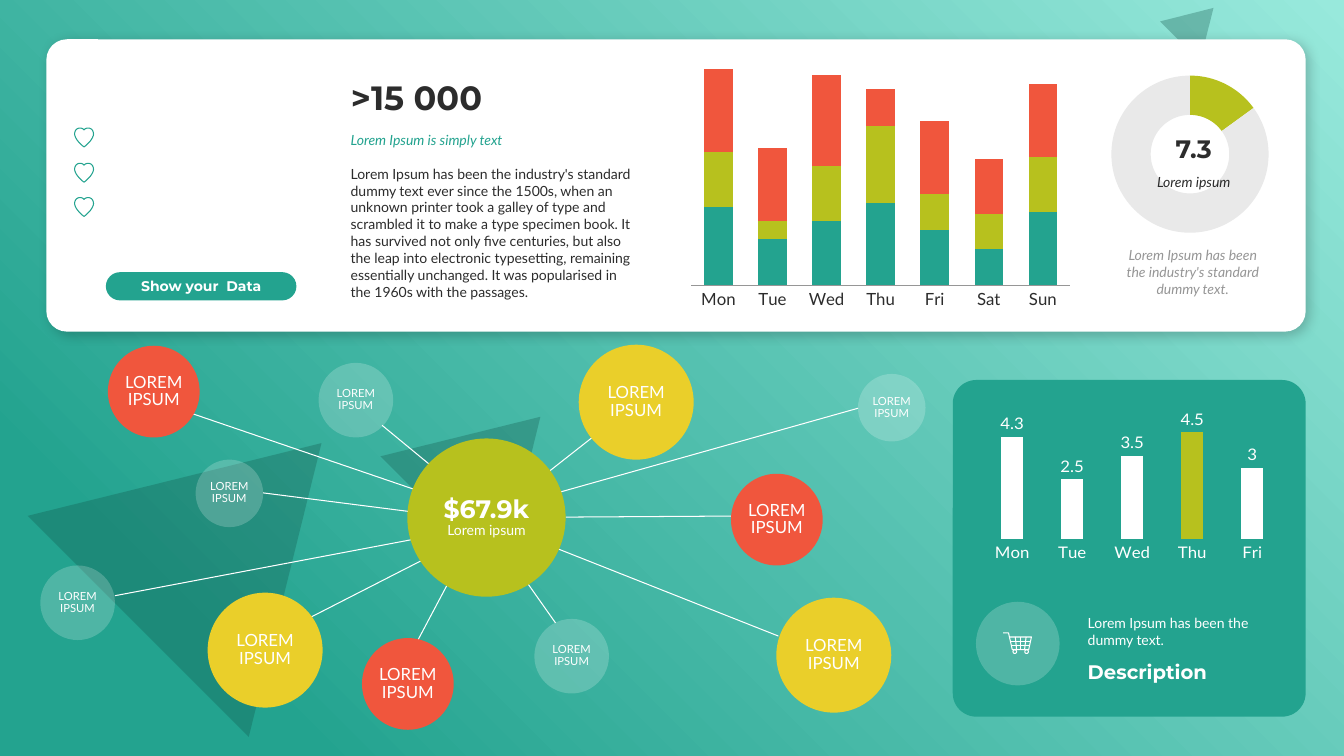
import math

from lxml import etree
from pptx import Presentation
from pptx.chart.data import CategoryChartData
from pptx.dml.color import RGBColor
from pptx.enum.chart import XL_CHART_TYPE, XL_LABEL_POSITION, XL_TICK_MARK
from pptx.enum.shapes import MSO_CONNECTOR, MSO_SHAPE
from pptx.enum.text import MSO_ANCHOR, PP_ALIGN
from pptx.oxml import parse_xml
from pptx.oxml.ns import nsdecls, qn
from pptx.util import Pt

PX = 9144  # EMU per px, 100 px to the inch
LEFT, CENTER = PP_ALIGN.LEFT, PP_ALIGN.CENTER
TOP, MIDDLE, BOTTOM = MSO_ANCHOR.TOP, MSO_ANCHOR.MIDDLE, MSO_ANCHOR.BOTTOM
RECT, ROUND = MSO_SHAPE.RECTANGLE, MSO_SHAPE.ROUNDED_RECTANGLE
OVAL, TRIANGLE = MSO_SHAPE.OVAL, MSO_SHAPE.ISOSCELES_TRIANGLE
STACKED, CLUSTERED = XL_CHART_TYPE.COLUMN_STACKED, XL_CHART_TYPE.COLUMN_CLUSTERED
DOUGHNUT = XL_CHART_TYPE.DOUGHNUT
OUTSIDE_END, NO_TICK = XL_LABEL_POSITION.OUTSIDE_END, XL_TICK_MARK.NONE

TEAL, LIME, RED, YELLOW = "23A38F", "B7C11E", "F0563D", "EACF2A"
WHITE, INK, GREY, PALE, SHADE = "FFFFFF", "2C2C2C", "969696", "E9E9E9", "115248"
BODY, HEAD = "Lato", "Montserrat"

# Bubbles: left, top, diameter, colour, and the link (from x, y, to x, y)
BUBBLES = [
    (574, 342, 114, YELLOW, (534, 476, 590, 432)),
    (316, 360, 74, None, (379, 422, 436, 469)),
    (107, 343, 91, RED, (175, 405, 427, 491)),
    (194, 456, 67, None, (261, 489, 418, 509)),
    (40, 561, 74, None, (114, 591, 421, 533)),
    (359, 633, 91, RED, (450, 568, 414, 636)),
    (206, 588, 114, YELLOW, (301, 616, 430, 550)),
    (770, 593, 114, YELLOW, (542, 540, 772, 631)),
    (851, 371, 67, None, (542, 492, 851, 405)),
    (725, 470, 91, RED, (561, 513, 726, 512)),
    (530, 614, 74, None, (515, 567, 551, 618)),
]


def rgb(color):
    return RGBColor.from_string(color)


def box(*lengths):
    return [n * PX for n in lengths]


def add_shape(s, kind, at, color, alpha=None, adj=None):
    sp = s.shapes.add_shape(kind, *box(*at))
    sp.shadow.inherit = False
    sp.line.fill.background()
    sp.fill.solid()
    sp.fill.fore_color.rgb = rgb(color)
    if alpha is not None:
        clr = sp.element.spPr.find(".//" + qn("a:srgbClr"))
        etree.SubElement(clr, qn("a:alpha")).set("val", str(alpha * 1000))
    if adj is not None:
        sp.adjustments[0] = adj
    return sp


def format_paragraph(p, size, color, font=BODY, bold=False, italic=False,
                     align=LEFT, spacing=None):
    p.alignment = align
    p.line_spacing = spacing
    for r in p.runs:
        r.font.size, r.font.name = Pt(size), font
        r.font.bold, r.font.italic = bold, italic
        r.font.color.rgb = rgb(color)


def fill_text(sp, text, size, color, anchor=TOP, **style):
    tf = sp.text_frame
    tf.word_wrap = True
    tf.vertical_anchor = anchor
    tf.text = text
    format_paragraph(tf.paragraphs[0], size, color, **style)


def add_text(s, at, text, size, color, **style):
    fill_text(s.shapes.add_textbox(*box(*at)), text, size, color, **style)


def add_bubble(s, at, color, text, size, **style):
    sp = add_shape(s, OVAL, at, color or WHITE, None if color else 20)
    sp.text_frame.margin_left = sp.text_frame.margin_right = 0
    fill_text(sp, text, size, WHITE, anchor=MIDDLE, align=CENTER, spacing=0.89, **style)
    return sp


def add_link(s, x1, y1, x2, y2):
    line = s.shapes.add_connector(MSO_CONNECTOR.STRAIGHT, *box(x1, y1, x2, y2))
    line.line.color.rgb = rgb(WHITE)
    line.line.width = Pt(0.75)
    etree.SubElement(line.element.spPr, qn("a:effectLst"))


def add_outline(s, x, y, contours, color):
    """Draw contours, given in tenths of a px, as one stroked shape."""
    left, top = (min(pt[i] for c in contours for pt in c) for i in (0, 1))
    fb = s.shapes.build_freeform(*contours[0][0], scale=PX / 10)
    for i, contour in enumerate(contours):
        if i:
            fb.move_to(*contour[0])
        fb.add_line_segments(contour[1:], close=False)
    sp = fb.convert_to_shape()
    sp.left, sp.top = box(x + round(left / 10), y + round(top / 10))
    sp.shadow.inherit = False
    sp.fill.background()
    sp.line.color.rgb = rgb(color)
    sp.line.width = Pt(0.75)


def bezier(a, b, c, d, steps=10):
    return [tuple((1 - t) ** 3 * a[i] + 3 * t * (1 - t) ** 2 * b[i]
                  + 3 * t * t * (1 - t) * c[i] + t ** 3 * d[i] for i in (0, 1))
            for t in (n / steps for n in range(steps + 1))]


def heart():
    half = (bezier((100, 25), (90, 12), (77, 6), (60, 6))
            + bezier((60, 6), (28, 6), (6, 32), (6, 66))
            + bezier((6, 66), (10, 120), (85, 185), (100, 193)))
    return [half + [(200 - x, y) for x, y in reversed(half)]]


def cart():
    frame = [(5, 5), (58, 5), (95, 170), (258, 170), (285, 45), (70, 45)]
    rows = [[(78, 85), (277, 85)], [(87, 125), (268, 125)]]
    columns = [[(125, 45), (138, 170)], [(177, 45), (177, 170)], [(232, 45), (217, 170)]]
    turns = [math.radians(a) for a in range(0, 361, 20)]
    wheels = [[(cx + 18 * math.cos(a), 190 + 18 * math.sin(a)) for a in turns]
              for cx in (120, 237)]
    return [frame] + rows + columns + wheels


def add_chart(s, kind, at, cats, series, size, color):
    data = CategoryChartData()
    data.categories = cats
    for n, values in enumerate(series, 1):
        data.add_series(f"Series {n}", values)
    chart = s.shapes.add_chart(kind, *box(*at), data).chart
    chart.has_legend = chart.has_title = False
    chart.font.size, chart.font.name = Pt(size), BODY
    chart.font.color.rgb = rgb(color)
    return chart


def paint(part, color):
    part.format.fill.solid()
    part.format.fill.fore_color.rgb = rgb(color)


def add_columns(s, kind, at, cats, series, colors, text_color, gap, overlap):
    chart = add_chart(s, kind, at, cats, series, 12, text_color)
    chart.value_axis.visible = chart.value_axis.has_major_gridlines = False
    chart.category_axis.major_tick_mark = NO_TICK
    plot = chart.plots[0]
    plot.vary_by_categories = False
    plot.gap_width, plot.overlap = gap, overlap
    for ser, color in zip(plot.series, colors):
        paint(ser, color)
    return chart


def add_doughnut(s, at, values, colors):
    chart = add_chart(s, DOUGHNUT, at, ["1", "2"], [values], 10, INK)
    for i, color in enumerate(colors):
        paint(chart.plots[0].series[0].points[i], color)
    chart.element.find(".//" + qn("c:holeSize")).set("val", "80")
    area = chart.element.find(".//" + qn("c:plotArea"))
    for layout in area.findall(qn("c:layout")):
        area.remove(layout)
    area.insert(0, parse_xml(
        f'<c:layout {nsdecls("c")}><c:manualLayout><c:layoutTarget val="inner"/>'
        '<c:xMode val="edge"/><c:yMode val="edge"/><c:x val="0.03"/><c:y val="0"/>'
        '<c:w val="0.92"/><c:h val="1"/></c:manualLayout></c:layout>'))


def add_backdrop(s):
    sp = add_shape(s, RECT, (0, 0, 1333, 750), TEAL)
    solid = sp.element.spPr.find(qn("a:solidFill"))
    solid.getparent().replace(solid, parse_xml(
        f'<a:gradFill {nsdecls("a")} rotWithShape="1"><a:gsLst>'
        '<a:gs pos="0"><a:srgbClr val="98E9DC"/></a:gs>'
        f'<a:gs pos="85000"><a:srgbClr val="{TEAL}"/></a:gs></a:gsLst>'
        '<a:path path="circle"><a:fillToRect l="100000" b="100000"/></a:path></a:gradFill>'))
    for at in [(73, 402, 310, 257), (402, 393, 169, 140), (1159, 1, 56, 47)]:
        add_shape(s, TRIANGLE, at, SHADE, 30).rotation = 45


def add_top_panel(s):
    panel = add_shape(s, ROUND, (46, 39, 1249, 290), WHITE, adj=0.07)
    panel.element.spPr.find(qn("a:effectLst")).append(parse_xml(
        f'<a:outerShdw {nsdecls("a")} blurRad="101600" dist="38100" dir="2700000">'
        '<a:srgbClr val="000000"><a:alpha val="20000"/></a:srgbClr></a:outerShdw>'))

    # Headline and text
    title = s.shapes.title
    panel.element.addnext(title.element)
    title.left, title.top, title.width, title.height = box(338, 71, 302, 50)
    fill_text(title, ">15 000", 24, INK, anchor=BOTTOM, font=HEAD, bold=True)
    add_text(s, (338, 126, 302, 27), "Lorem Ipsum is simply text", 10, TEAL, italic=True)
    add_text(s, (338, 159, 302, 145),
             "Lorem Ipsum has been the industry's standard dummy text ever since the 1500s, "
             "when an unknown printer took a galley of type and scrambled it to make a type "
             "specimen book. It has survived not only five centuries, but also the leap into "
             "electronic typesetting, remaining essentially unchanged. It was popularised in "
             "the 1960s with the passages.", 10, INK)

    # Hearts and button
    for y in (126, 161, 195):
        add_outline(s, 73, y, heart(), TEAL)
    button = add_shape(s, ROUND, (105, 270, 189, 28), TEAL, adj=0.5)
    fill_text(button, "Show your  Data", 10, WHITE, anchor=MIDDLE, font=HEAD, bold=True,
              align=CENTER)

    # Charts
    chart = add_columns(
        s, STACKED, (678, 51, 391, 261), ["Mon", "Tue", "Wed", "Thu", "Fri", "Sat", "Sun"],
        [(86, 50, 70, 90, 60, 40, 80), (60, 20, 60, 84, 40, 38, 60),
         (90, 80, 100, 40, 80, 60, 80)], (TEAL, LIME, RED), INK, 90, 100)
    chart.category_axis.format.line.color.rgb = rgb(GREY)
    add_doughnut(s, (1096, 75, 172, 156), (15, 85), (LIME, PALE))
    add_text(s, (1129, 167, 110, 27), "Lorem ipsum", 10, INK, italic=True, align=CENTER)
    add_text(s, (1129, 127, 110, 40), "7.3", 18, INK, anchor=BOTTOM, font=HEAD, bold=True,
             align=CENTER)
    add_text(s, (1103, 240, 160, 61), "Lorem Ipsum has been the industry's standard dummy text.",
             10, GREY, italic=True, align=CENTER)


def add_network(s):
    for *_, link in BUBBLES:
        add_link(s, *link)
    for x, y, d, color, _ in BUBBLES:
        add_bubble(s, (x, y, d, d), color, "LOREM IPSUM", 12 if color else 8)
    hub = add_bubble(s, (404, 435, 157, 157), LIME, "$67.9k", 18, font=HEAD, bold=True)
    p = hub.text_frame.add_paragraph()
    p.text = "Lorem ipsum"
    format_paragraph(p, 10, WHITE, align=CENTER, spacing=0.89)


def add_side_panel(s):
    add_shape(s, ROUND, (945, 377, 350, 334), TEAL, adj=0.07)
    add_shape(s, OVAL, (968, 597, 83, 83), WHITE, 20)
    add_outline(s, 995, 628, cart(), WHITE)
    add_text(s, (1069, 605, 223, 44), "Lorem Ipsum has been the dummy text.", 10, WHITE)
    add_text(s, (1069, 649, 223, 34), "Description", 14, WHITE, anchor=BOTTOM, font=HEAD,
             bold=True)
    chart = add_columns(s, CLUSTERED, (968, 406, 310, 154), ["Mon", "Tue", "Wed", "Thu", "Fri"],
                        [(4.3, 2.5, 3.5, 4.5, 3)], (WHITE,), WHITE, 171, 0)
    chart.category_axis.format.line.fill.background()
    plot = chart.plots[0]
    paint(plot.series[0].points[3], LIME)
    plot.has_data_labels = True
    plot.data_labels.show_value = True
    plot.data_labels.position = OUTSIDE_END


def main():
    prs = Presentation()
    prs.slide_width, prs.slide_height = box(1333, 750)
    s = prs.slides.add_slide(prs.slide_layouts[5])
    add_backdrop(s)
    add_top_panel(s)
    add_network(s)
    add_side_panel(s)
    prs.save("out.pptx")


if __name__ == "__main__":
    main()
